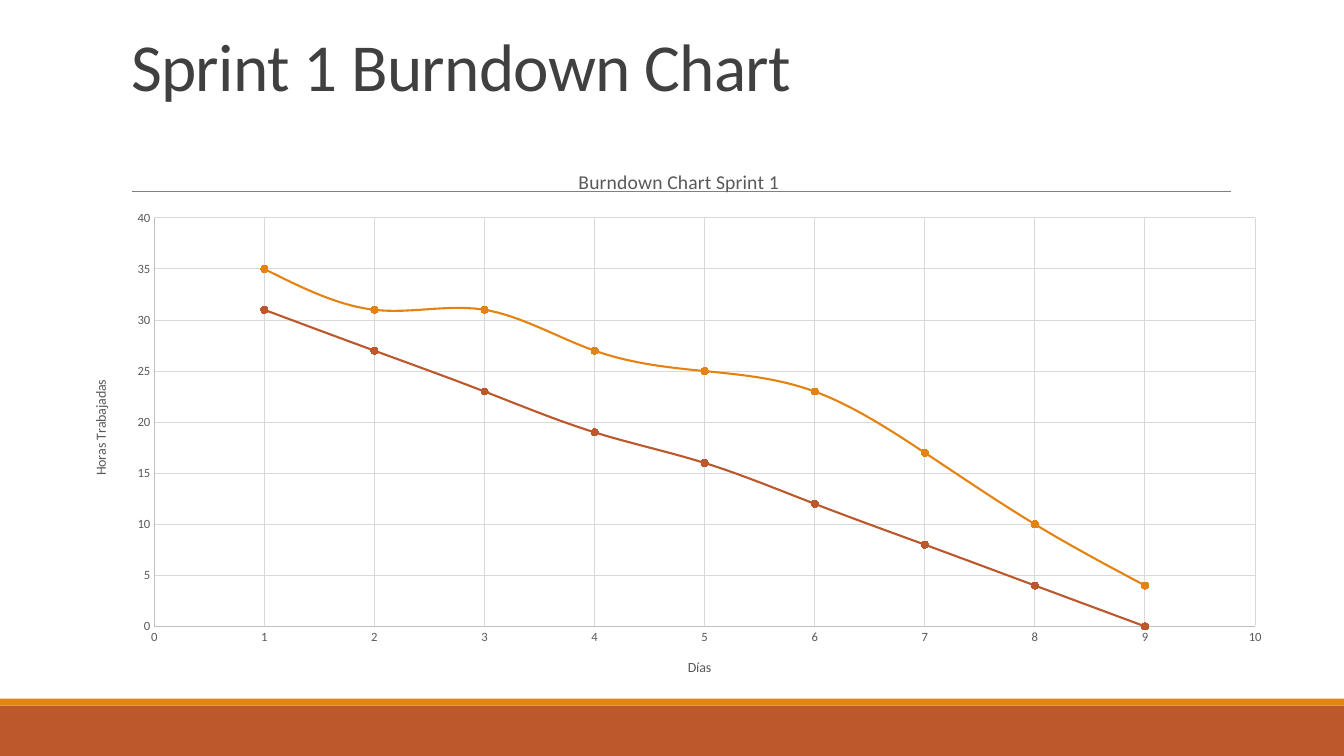
"""Build the Sprint 1 burndown chart slide."""
from lxml import etree
from pptx import Presentation, util as u
from pptx.chart.data import XyChartData
from pptx.dml.color import RGBColor
from pptx.enum import chart as ch, shapes, text
from pptx.oxml import parse_xml
from pptx.oxml.ns import nsdecls, qn

TITLE = "Sprint 1 Burndown Chart"
CHART_TITLE = "Burndown Chart Sprint 1"
SERIES = [
    ("Series 1", "orange", [35, 31, 31, 27, 25, 23, 17, 10, 4]),
    ("Series 2", "rust", [31, 27, 23, 19, 16, 12, 8, 4, 0]),
]
AXES = {
    "category_axis": ("Días", 10, 1),
    "value_axis": ("Horas Trabajadas", 40, 5),
}
BANDS = [("rust", 504, 36), ("orange", 499, 5)]
CHART_BOX = (51.1, 106.3, 867.6, 391.7)
PLOT_BOX = (110.2, 155.7, 786.4, 291.8)
THEME = {
    "font": "Calibri",
    "color": {"rust": "BD582C", "orange": "E48312", "rule": "808080", "title": "404040",
              "label": "595959", "axis": "BFBFBF", "grid": "D9D9D9"},
    "size": {"title": 48, "chart": 14, "axis": 10, "tick": 9},
}
WIDTH, HEIGHT = 960, 540


def assign(target, values):
    for name, value in values.items():
        setattr(target, name, value)


def color(name):
    return RGBColor.from_string(THEME["color"][name])


def style_font(font, size, shade):
    assign(font, {"name": THEME["font"], "size": u.Pt(THEME["size"][size]), "bold": False})
    font.color.rgb = color(shade)


def style_line(line, shade, width):
    line.color.rgb = color(shade)
    line.width = u.Pt(width)


def label(owner, content, size):
    frame = owner.text_frame
    frame.text = content
    style_font(frame.paragraphs[0].runs[0].font, size, "label")


def add_frame(slide):
    for shade, top, height in BANDS:
        band = slide.shapes.add_shape(shapes.MSO_SHAPE.RECTANGLE, 0, u.Pt(top), u.Pt(WIDTH), u.Pt(height))
        band.shadow.inherit = False
        band.fill.solid()
        band.fill.fore_color.rgb = color(shade)
        band.line.fill.background()
    rule = slide.shapes.add_connector(shapes.MSO_CONNECTOR.STRAIGHT, u.Pt(94.5), u.Pt(136.6), u.Pt(879), u.Pt(136.6))
    style_line(rule.line, "rule", 0.5)
    etree.SubElement(rule._element.spPr, qn("a:effectLst"))


def add_title(slide):
    box = slide.shapes.add_textbox(u.Pt(86.6), u.Pt(22.6), u.Pt(792), u.Pt(114.2))
    frame = box.text_frame
    assign(frame, {"word_wrap": True, "vertical_anchor": text.MSO_ANCHOR.BOTTOM, "margin_bottom": u.Pt(61.3)})
    paragraph = frame.paragraphs[0]
    paragraph.line_spacing = 0.85
    run = paragraph.add_run()
    run.text = TITLE
    style_font(run.font, "title", "title")
    run.font._element.set("spc", "-50")


def place_plot(chart):
    area = chart._chartSpace.chart.plotArea
    for layout in area.findall(qn("c:layout")):
        area.remove(layout)
    left, top, width, height = CHART_BOX
    plot_left, plot_top, plot_width, plot_height = PLOT_BOX
    fractions = {"x": (plot_left - left) / width, "y": (plot_top - top) / height,
                 "w": plot_width / width, "h": plot_height / height}
    sizes = "".join(f'<c:{key} val="{value:.4f}"/>' for key, value in fractions.items())
    area.insert(0, parse_xml(
        f'<c:layout {nsdecls("c")}><c:manualLayout><c:layoutTarget val="inner"/>'
        f'<c:xMode val="edge"/><c:yMode val="edge"/>{sizes}</c:manualLayout></c:layout>'))
    chart._chartSpace.chart.addnext(parse_xml(
        f'<c:spPr {nsdecls("c", "a")}><a:noFill/><a:ln><a:noFill/></a:ln></c:spPr>'))


def style_series(series, shade):
    series._element.find(qn("c:smooth")).set("val", "1")
    style_line(series.format.line, shade, 1.5)
    assign(series.marker, {"style": ch.XL_MARKER_STYLE.CIRCLE, "size": 5})
    series.marker.format.fill.solid()
    series.marker.format.fill.fore_color.rgb = color(shade)
    style_line(series.marker.format.line, shade, 0.75)


def add_burndown(slide):
    data = XyChartData()
    for name, _, hours in SERIES:
        series = data.add_series(name)
        for day, value in enumerate(hours, 1):
            series.add_data_point(day, value)
    chart = slide.shapes.add_chart(ch.XL_CHART_TYPE.XY_SCATTER_SMOOTH, *map(u.Pt, CHART_BOX), data).chart
    style_font(chart.font, "axis", "label")
    assign(chart, {"has_legend": False, "has_title": True})
    label(chart.chart_title, CHART_TITLE, "chart")
    chart.plots[0].vary_by_categories = False
    for series, (_, shade, _) in zip(chart.plots[0].series, SERIES):
        style_series(series, shade)
    for name, (content, maximum, step) in AXES.items():
        axis = getattr(chart, name)
        assign(axis, {"minimum_scale": 0, "maximum_scale": maximum, "major_unit": step,
                      "has_major_gridlines": True, "major_tick_mark": ch.XL_TICK_MARK.NONE,
                      "minor_tick_mark": ch.XL_TICK_MARK.NONE})
        label(axis.axis_title, content, "axis")
        style_font(axis.tick_labels.font, "tick", "label")
        assign(axis.tick_labels, {"number_format": "General", "number_format_is_linked": False})
        style_line(axis.format.line, "axis", 0.75)
        style_line(axis.major_gridlines.format.line, "grid", 0.75)
    place_plot(chart)


def main():
    presentation = Presentation()
    assign(presentation, {"slide_width": u.Pt(WIDTH), "slide_height": u.Pt(HEIGHT)})
    slide = presentation.slides.add_slide(presentation.slide_layouts[6])
    add_frame(slide)
    add_title(slide)
    add_burndown(slide)
    presentation.save("out.pptx")


if __name__ == "__main__":
    main()
